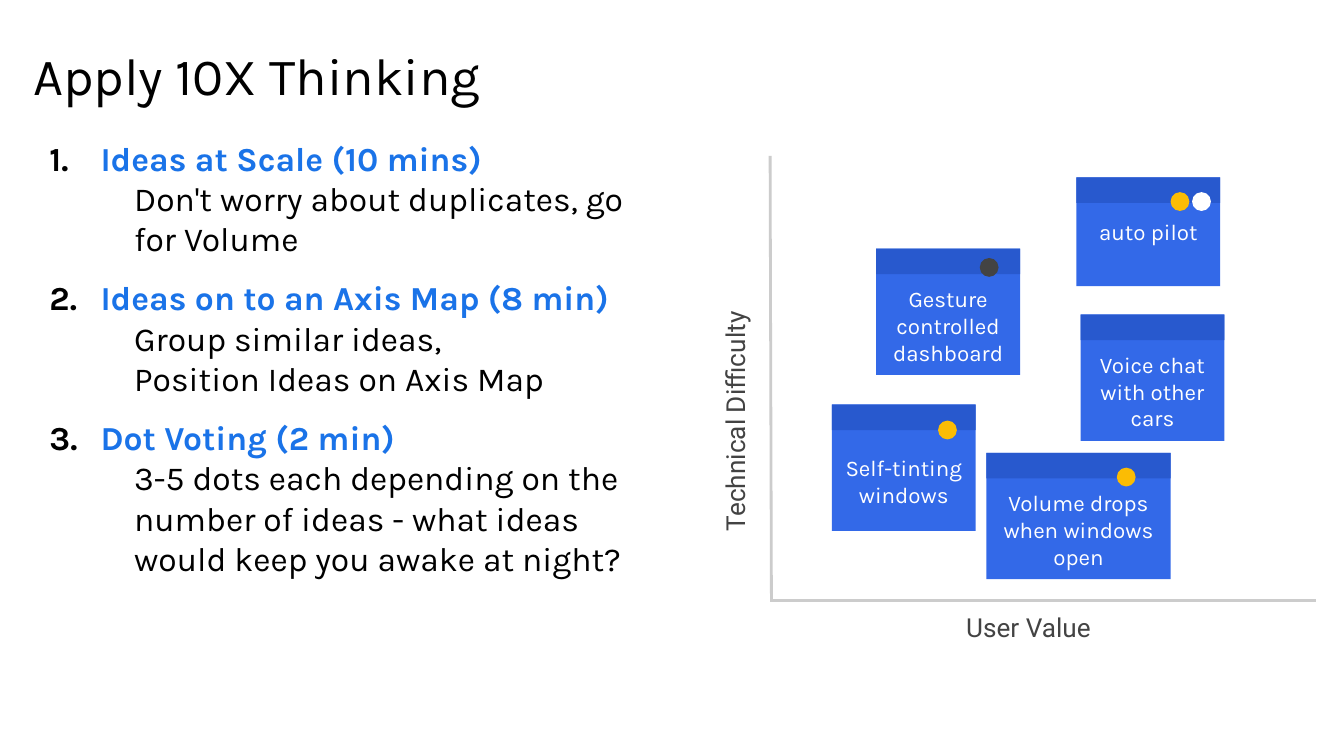
from lxml import etree
from pptx import Presentation
from pptx.dml.color import RGBColor
from pptx.enum.shapes import MSO_CONNECTOR, MSO_SHAPE
from pptx.enum.text import MSO_ANCHOR, PP_ALIGN
from pptx.oxml.ns import qn
from pptx.util import Inches, Pt

RECT, OVAL = MSO_SHAPE.RECTANGLE, MSO_SHAPE.OVAL
STRAIGHT = MSO_CONNECTOR.STRAIGHT
TOP, MIDDLE = MSO_ANCHOR.TOP, MSO_ANCHOR.MIDDLE
LEFT, CENTER = PP_ALIGN.LEFT, PP_ALIGN.CENTER

BLACK = RGBColor(0x00, 0x00, 0x00)
WHITE = RGBColor(0xFF, 0xFF, 0xFF)
HEADING_BLUE = RGBColor(0x1A, 0x73, 0xE8)
NOTE_BLUE = RGBColor(0x33, 0x69, 0xE8)
BAND_BLUE = RGBColor(0x28, 0x59, 0xCE)
YELLOW = RGBColor(0xFB, 0xBC, 0x04)
DARK_GREY = RGBColor(0x43, 0x43, 0x43)
AXIS_GREY = RGBColor(0xCC, 0xCC, 0xCC)

BAND_HEIGHT = 0.19
DOT_SIZE = 0.14

STEPS = [
    ("Ideas at Scale (10 mins)", ["Don't worry about duplicates, go for Volume"]),
    ("Ideas on to an Axis Map (8 min)",
     ["Group similar ideas,", "Position Ideas on Axis Map"]),
    ("Dot Voting (2 min)",
     ["3-5 dots each depending on the number of ideas - "
      "what ideas would keep you awake at night?"]),
]

# text, left, top, width, height, top inset, dots as (left, top, colour)
NOTES = [
    ("Self-tinting windows", 6.19, 3.01, 1.07, 0.94, 0.24, [(6.98, 3.13, YELLOW)]),
    ("auto pilot", 8.01, 1.32, 1.07, 0.81, 0.04,
     [(8.71, 1.43, YELLOW), (8.87, 1.43, WHITE)]),
    ("Gesture controlled dashboard", 6.52, 1.85, 1.07, 0.94, 0.24,
     [(7.29, 1.92, DARK_GREY)]),
    ("Voice chat with other cars", 8.04, 2.34, 1.07, 0.94, 0.24, []),
    ("Volume drops when windows open", 7.34, 3.37, 1.37, 0.94, 0.24,
     [(8.31, 3.48, YELLOW)]),
]


def add_text(tf, text, size=18, color=BLACK, font="Karla", bold=False,
             align=LEFT, before=0, margin=0, indent=0, number=None):
    """Add a paragraph, filling the frame's first one if it is still empty."""
    p = tf.paragraphs[0] if not tf.text else tf.add_paragraph()
    pPr = p._p.get_or_add_pPr()
    pPr.set("marL", str(Inches(margin)))
    pPr.set("indent", str(Inches(indent)))
    if number:
        clr = etree.SubElement(pPr, qn("a:buClr"))
        etree.SubElement(clr, qn("a:srgbClr"), val=str(BLACK))
        etree.SubElement(pPr, qn("a:buFont"), typeface=font)
        etree.SubElement(pPr, qn("a:buAutoNum"), type="arabicPeriod",
                         startAt=str(number))
    else:
        etree.SubElement(pPr, qn("a:buNone"))
    p.alignment = align
    if before:
        p.space_before = Pt(before)
    r = p.add_run()
    r.text = text
    r.font.name, r.font.size, r.font.bold = font, Pt(size), bold
    r.font.color.rgb = color


class SlideBuilder:
    def __init__(self, slide):
        self.shapes = slide.shapes

    def set_frame(self, sp, anchor, top=0.1, bottom=0.1):
        tf = sp.text_frame
        tf.word_wrap = True
        tf.vertical_anchor = anchor
        tf.margin_left = tf.margin_right = Inches(0.1)
        tf.margin_top, tf.margin_bottom = Inches(top), Inches(bottom)
        return tf

    def text_box(self, x, y, w, h, rotation=0):
        sp = self.shapes.add_textbox(Inches(x), Inches(y), Inches(w), Inches(h))
        sp.rotation = rotation
        return self.set_frame(sp, TOP)

    def shape(self, kind, x, y, w, h, fill):
        sp = self.shapes.add_shape(kind, Inches(x), Inches(y), Inches(w), Inches(h))
        sp.shadow.inherit = False
        sp.fill.solid()
        sp.fill.fore_color.rgb = fill
        sp.line.fill.background()
        return sp

    def axis(self, x1, y1, x2, y2):
        line = self.shapes.add_connector(
            STRAIGHT, Inches(x1), Inches(y1), Inches(x2), Inches(y2))
        line.line.color.rgb = AXIS_GREY
        line.line.width = Pt(1.5)
        etree.SubElement(line._element.spPr, qn("a:effectLst"))

    def axis_label(self, text, x, y, w, h, rotation=0):
        tf = self.text_box(x, y, w, h, rotation)
        add_text(tf, text, size=14, color=DARK_GREY, font="Roboto")

    def note(self, text, x, y, w, h, top, dots):
        """Sticky note with a darker top band and its voting dots."""
        sp = self.shape(RECT, x, y, w, h, NOTE_BLUE)
        tf = self.set_frame(sp, MIDDLE, top=top, bottom=0.04)
        add_text(tf, text, size=12, color=WHITE, align=CENTER)
        self.shape(RECT, x, y, w, BAND_HEIGHT, BAND_BLUE)
        for dot_x, dot_y, color in dots:
            self.shape(OVAL, dot_x, dot_y, DOT_SIZE, DOT_SIZE, color)

    def agenda(self, title, steps):
        tf = self.text_box(0.15, 0.22, 4.83, 4.85)
        add_text(tf, title, size=28)
        for number, (heading, details) in enumerate(steps, 1):
            add_text(tf, heading, color=HEADING_BLUE, bold=True, margin=0.5,
                     indent=-0.38, number=number, before=17 if number == 1 else 10)
            for detail in details:
                add_text(tf, detail, margin=0.75)


def main():
    prs = Presentation()
    prs.slide_width = Inches(10)
    prs.slide_height = prs.slide_width * 9 // 16
    s = SlideBuilder(prs.slides.add_slide(prs.slide_layouts[6]))

    s.agenda("Apply 10X Thinking", STEPS)
    s.axis(5.73, 1.16, 5.74, 4.47)
    s.axis(5.73, 4.47, 9.79, 4.47)
    s.axis_label("Technical Difficulty", 4.21, 2.66, 2.43, 0.35, rotation=270)
    s.axis_label("User Value", 7.09, 4.45, 1.43, 0.41)
    for note in NOTES:
        s.note(*note)

    prs.save("out.pptx")


if __name__ == "__main__":
    main()
